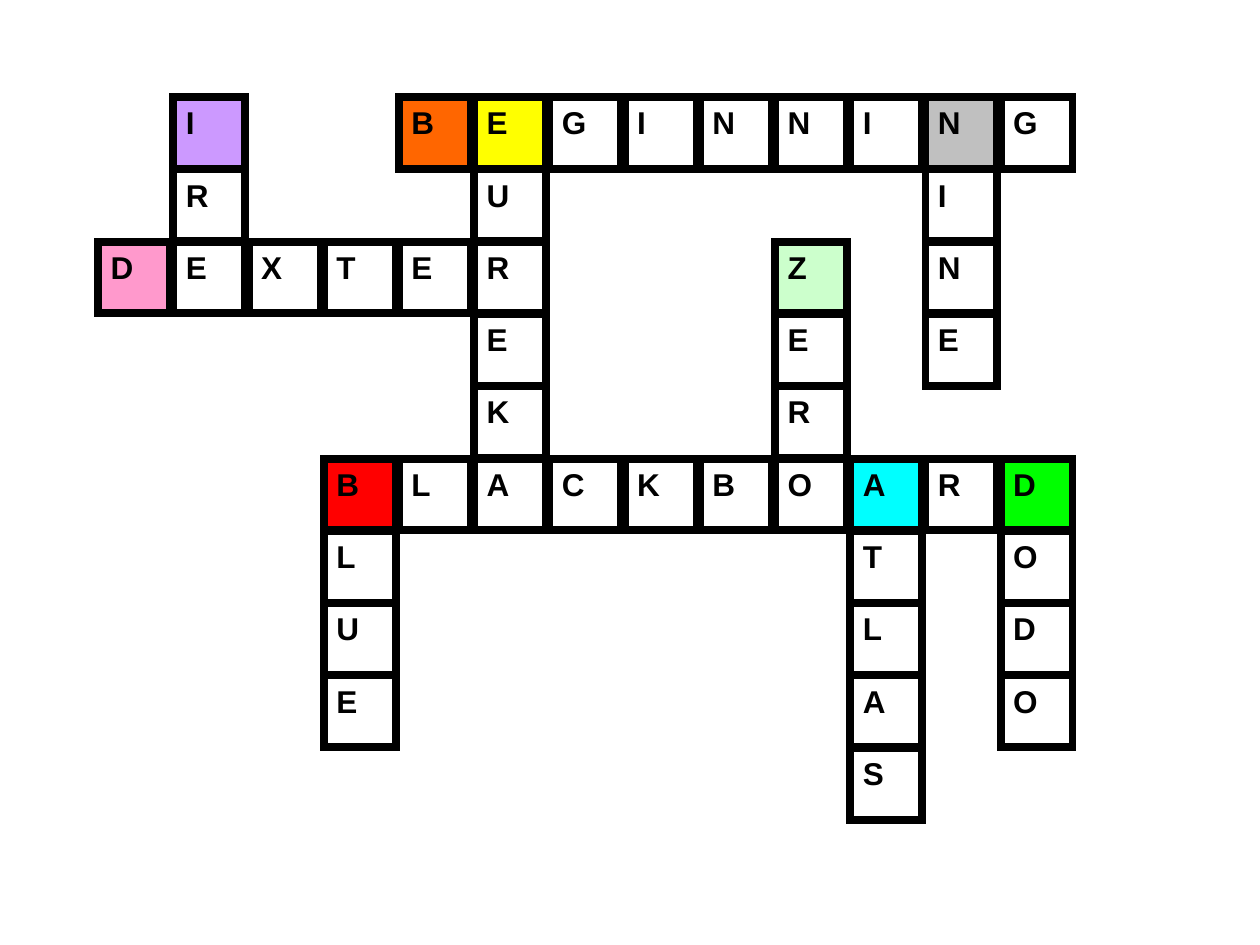
from typing import NamedTuple

from lxml.etree import SubElement
from pptx import Presentation
from pptx.dml.color import RGBColor
from pptx.enum.shapes import MSO_SHAPE
from pptx.enum.text import MSO_ANCHOR, PP_ALIGN
from pptx.oxml.ns import qn
from pptx.util import Inches, Pt

BLACK = RGBColor(0x00, 0x00, 0x00)
WHITE = RGBColor(0xFF, 0xFF, 0xFF)
LILAC = RGBColor(0xCC, 0x99, 0xFF)
ORANGE = RGBColor(0xFF, 0x66, 0x00)
YELLOW = RGBColor(0xFF, 0xFF, 0x00)
GREY = RGBColor(0xC0, 0xC0, 0xC0)
PINK = RGBColor(0xFF, 0x99, 0xCC)
MINT = RGBColor(0xCC, 0xFF, 0xCC)
RED = RGBColor(0xFF, 0x00, 0x00)
CYAN = RGBColor(0x00, 0xFF, 0xFF)
GREEN = RGBColor(0x00, 0xFF, 0x00)

COLUMNS, ROWS = 13, 10
CELL_SIZE = 0.57
ACROSS, DOWN = (1, 0), (0, 1)

WORDS = [
    ("IRE", 1, 0, DOWN, LILAC),
    ("BEGINNING", 4, 0, ACROSS, ORANGE),
    ("EUREKA", 5, 0, DOWN, YELLOW),
    ("NINE", 11, 0, DOWN, GREY),
    ("DEXTER", 0, 2, ACROSS, PINK),
    ("ZERO", 9, 2, DOWN, MINT),
    ("BLACKBOARD", 3, 5, ACROSS, RED),
    ("BLUE", 3, 5, DOWN, RED),
    ("ATLAS", 10, 5, DOWN, CYAN),
    ("DODO", 12, 5, DOWN, GREEN),
]


class Box(NamedTuple):
    """A rectangle in inches."""

    left: float
    top: float
    width: float
    height: float


def lay_out_words(words):
    """Return the letter of each grid cell and the colour of each first cell."""
    letters, starts = {}, {}
    for word, column, row, (step_x, step_y), color in words:
        starts[column, row] = color
        for index, letter in enumerate(word):
            letters[column + index * step_x, row + index * step_y] = letter
    return letters, starts


def add_cell(shapes, box, letter, color):
    """Draw one outlined square with its letter at the top left."""
    cell = shapes.add_shape(MSO_SHAPE.RECTANGLE, *(Inches(side) for side in box))
    cell.shadow.inherit = False
    cell.fill.solid()
    cell.fill.fore_color.rgb = color
    cell.line.color.rgb = BLACK
    cell.line.width = Pt(4.5)
    SubElement(cell.line._get_or_add_ln(), qn("a:miter"), lim="800000")
    frame = cell.text_frame
    frame.word_wrap = True
    frame.vertical_anchor = MSO_ANCHOR.TOP
    para = frame.paragraphs[0]
    para.alignment = PP_ALIGN.LEFT
    span = para.add_run()
    span.text = letter
    span.font.name = "Arial"
    span.font.size = Pt(18)
    span.font.bold = True
    span.font.color.rgb = BLACK


def add_crossword(page, box):
    """Fill the box with the crossword grid, kept together as one group."""
    board = page.shapes.add_group_shape()
    letters, starts = lay_out_words(WORDS)
    for (column, row), letter in letters.items():
        cell_box = Box(
            box.left + column * box.width / COLUMNS,
            box.top + row * box.height / ROWS,
            CELL_SIZE,
            CELL_SIZE,
        )
        add_cell(board.shapes, cell_box, letter, starts.get((column, row), WHITE))


def main():
    """Build the crossword slide and save it."""
    deck = Presentation()
    deck.slide_width, deck.slide_height = Inches(10), Inches(7.5)
    page = deck.slides.add_slide(deck.slide_layouts[6])
    add_crossword(page, Box(0.78, 0.77, 7.76, 5.74))
    deck.save("out.pptx")


if __name__ == "__main__":
    main()
